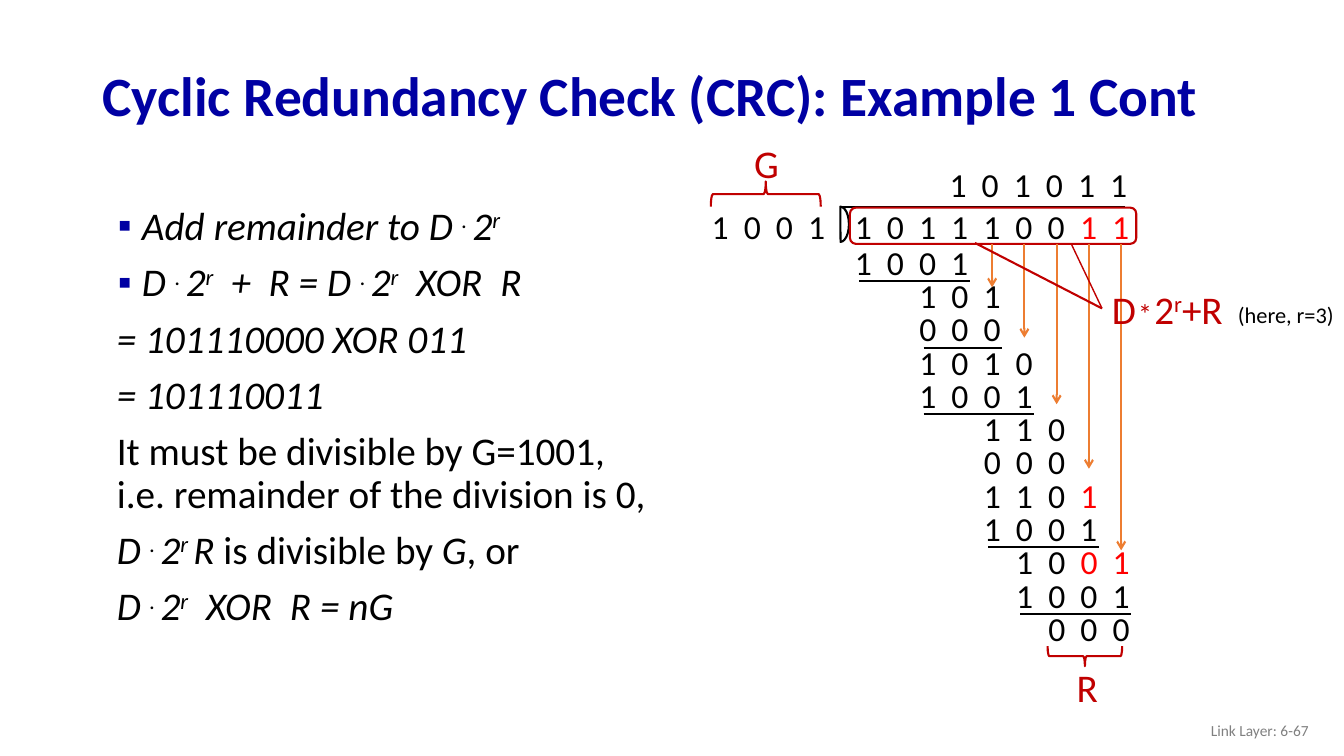
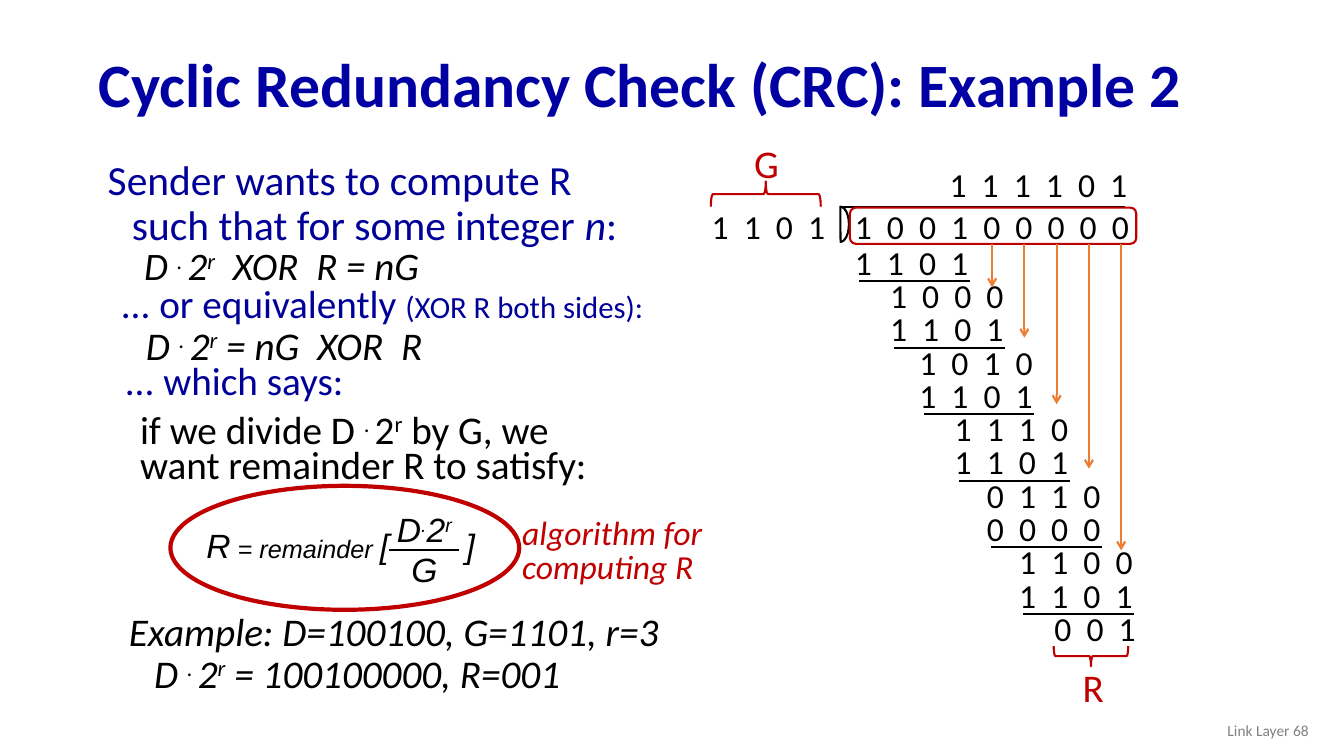
import pptx
import pptx.dml.color
import pptx.enum.shapes
import pptx.enum.text
import pptx.oxml
import pptx.oxml.ns
import pptx.util

SHAPE = pptx.enum.shapes.MSO_SHAPE
ALIGN = pptx.enum.text.PP_ALIGN
ANCHOR = pptx.enum.text.MSO_ANCHOR
NAMESPACE = pptx.oxml.ns.nsdecls("a")

# Style
EMU_PER_PX = 9144
BLACK, NAVY, BLUE = "000000", "0000A3", "000099"
CRIMSON, RED, ORANGE, GREY = "C00000", "FF0000", "ED7D31", "808080"
SPACE_WIDTH = 0.23

# Division grid
COLUMN_LEFT, COLUMN_STEP = 838, 32
ROW_TOP, ROW_STEP = 235, 33
DIGIT_SPACING = 2.7
CARRY_ENDS = (285, 335, 401, 465, 546)


def px(length):
    return pptx.util.Emu(length * EMU_PER_PX)


def rgb(code):
    return pptx.dml.color.RGBColor.from_string(code)


def xml(markup):
    """Build a drawing element from its tag and content."""
    return pptx.oxml.parse_xml(markup.replace(" ", f" {NAMESPACE} ", 1))


def write(paragraph, text, size=24, color=BLACK, font="Calibri", bold=False, italic=False,
          spacing=0):
    """Add text to a paragraph; parts between ^ marks are raised, ~ is a wide space."""
    def add(part, raised, tracking):
        run = paragraph.add_run()
        run.text = part
        run.font.size = pptx.util.Pt(size)
        run.font.name = font
        run.font.bold, run.font.italic = bold, italic
        run.font.color.rgb = rgb(color)
        if raised:
            run.font._element.set("baseline", "30000")
        if tracking:
            run.font._element.set("spc", str(round(tracking * 100)))

    for index, piece in enumerate(text.split("^")):
        for gap, part in enumerate(piece.split("~")):
            if gap:
                add(" ", False, size * SPACE_WIDTH)
            if part:
                add(part, index % 2, spacing)


def column_left(column):
    return round(COLUMN_LEFT + COLUMN_STEP * column)


class Deck:
    def __init__(self):
        self.file = pptx.Presentation()
        self.file.slide_width, self.file.slide_height = px(1333), px(750)
        self.slide = None

    def new_slide(self, title, title_at, title_size, footer):
        self.slide = self.file.slides.add_slide(self.file.slide_layouts[6])
        self.para(self.box(*title_at, 1150, 98, ANCHOR.MIDDLE), title,
                  line=0.9, size=title_size, color=NAVY, bold=True)
        self.para(self.box(1008, 705, 300, 40, ANCHOR.MIDDLE), footer,
                  align=ALIGN.RIGHT, size=11, color=GREY)

    # Text
    def box(self, left, top, width, height, anchor=ANCHOR.TOP):
        frame = self.slide.shapes.add_textbox(px(left), px(top), px(width), px(height)).text_frame
        frame.word_wrap = True
        frame.vertical_anchor = anchor
        return frame

    def para(self, frame, *pieces, align=None, line=None, before=None,
             margin=0, first=0, bullet=None, **style):
        """Add a paragraph; a piece is text, or text with its own format."""
        start = frame.paragraphs[0]
        paragraph = frame.add_paragraph() if start.runs else start
        paragraph.alignment = align
        if line:
            paragraph.line_spacing = line
        if before:
            paragraph.space_before = pptx.util.Pt(before)
        layout = paragraph._p.get_or_add_pPr()
        layout.set("marL", str(px(margin)))
        layout.set("indent", str(px(first)))
        if bullet:
            layout.append(xml(f'<a:buClr ><a:srgbClr val="{NAVY}"/></a:buClr>'))
            layout.append(xml('<a:buFont typeface="Arial"/>'))
            layout.append(xml(f'<a:buChar char="{bullet}"/>'))
        for piece in pieces:
            text, own = (piece, {}) if isinstance(piece, str) else piece
            write(paragraph, text, **{**style, **own})

    def label(self, at, *pieces, **style):
        self.para(self.box(*at), *pieces, **style)

    # Outlines and lines
    def outline(self, kind, at, color=CRIMSON, weight=1.5, rotation=0):
        shape = self.slide.shapes.add_shape(kind, *map(px, at))
        shape.shadow.inherit = False
        shape.fill.background()
        shape.line.color.rgb = rgb(color)
        shape.line.width = pptx.util.Pt(weight)
        shape.rotation = rotation
        return shape

    def line(self, start, end, color=BLACK, weight=1.5, arrow=False):
        connector = self.slide.shapes.add_connector(
            pptx.enum.shapes.MSO_CONNECTOR.STRAIGHT, *map(px, (*start, *end)))
        connector.line.color.rgb = rgb(color)
        connector.line.width = pptx.util.Pt(weight)
        properties = connector._element.spPr
        if arrow:
            properties.find(pptx.oxml.ns.qn("a:ln")).append(xml('<a:tailEnd type="arrow"/>'))
        properties.append(xml("<a:effectLst />"))

    # Long division
    def digits(self, left, top, number, red=0):
        """Write one digit per column, the last ones in red if asked."""
        text = " ".join(number)
        cut = len(text) - max(2 * red - 1, 0)
        width = COLUMN_STEP * len(number) + 20
        self.label((left, top, width, 50), text[:cut], (text[cut:], {"color": RED}),
                   spacing=DIGIT_SPACING)

    def long_division(self, generator, dividend, quotient, rows, underlined, red=0):
        # Generator, bracket and dividend
        self.label((738, 133, 45, 57), "G", size=28, color=CRIMSON)
        self.outline(SHAPE.RIGHT_BRACE, (747, 138, 25, 109), rotation=270)
        self.digits(696, 199, generator)
        self.line((835, 205), (1116, 205))
        bracket = self.outline(SHAPE.PIE, (816, 214, 35, 17), BLACK, rotation=270)
        bracket.adjustments[0], bracket.adjustments[1] = 0, 107.54
        self.digits(column_left(3) - 2, 158, quotient)
        self.digits(column_left(0), 199, dividend, red)
        self.outline(SHAPE.ROUNDED_RECTANGLE, (843, 206, 284, 36))

        # Working rows
        for row, (column, number, *red_digits) in enumerate(rows):
            left, top = column_left(column), ROW_TOP + ROW_STEP * row
            self.digits(left, top, number, *red_digits)
            if row in underlined:
                start, rule = left + 14, top + 44
                self.line((start, rule), (start + COLUMN_STEP * len(number) - 18, rule))

        # Digits brought down
        for index, end in enumerate(CARRY_ENDS):
            x = 984 + COLUMN_STEP * index
            self.line((x, 242), (x, end), ORANGE, arrow=True)

        # Remainder
        remainder = column_left(rows[-1][0])
        self.outline(SHAPE.RIGHT_BRACE, (remainder + 36, 614, 20, 74), rotation=90)
        self.label((remainder + 28, 653, 42, 57), "R", size=28, color=CRIMSON)


def example_1(deck):
    deck.new_slide("Cyclic Redundancy Check (CRC): Example 1 Cont", (92, 49), 39.6,
                   "Link Layer: 6-67")

    # Argument
    argument = deck.box(92, 200, 567, 476)
    body = {"size": 28, "line": 0.9, "before": 10}
    for step in ("Add remainder to D ^. ^2^r", "D ^. ^2^r^~+~R = D ^. ^2^r^~XOR~R"):
        deck.para(argument, step, margin=39, first=-24, bullet="▪", italic=True, **body)
    upright, slanted = {"italic": False}, {"italic": True}
    for pieces in (
        [("= 101110000 XOR 011", slanted)],
        [("= 101110011", slanted)],
        [("It must be divisible by G=1001, i.e. remainder of the division is 0,", upright)],
        [("D ^. ^2^r ^R ", slanted), ("is divisible by ", upright),
         ("G", slanted), (", or", upright)],
        [("D ^. ^2^r^~XOR~R = nG", slanted)],
    ):
        deck.para(argument, *pieces, margin=14, **body)

    # Division
    deck.long_division(
        "1001", "101110011", "101011",
        [(0, "1001"), (2, "101"), (2, "000"), (2, "1010"), (2, "1001"), (4, "110"),
         (4, "000"), (4, "1101", 1), (4, "1001"), (5, "1001", 2), (5, "1001"), (6, "000")],
        underlined=(0, 2, 4, 8, 10), red=2)

    # Callout for the dividend
    tip = (1093, 306)
    deck.line((967, 241), tip, CRIMSON)
    deck.line((1063, 243), tip, CRIMSON, weight=1)
    deck.label((1093, 278, 44, 57), "D", size=28, color=CRIMSON)
    deck.label((1119, 289, 40, 44), "*", size=20, color=CRIMSON)
    deck.label((1135, 278, 110, 57), "2^r^+R", size=28, color=CRIMSON)
    deck.label((1218, 294, 120, 40), "(here, r=3)", size=16)


def example_2(deck):
    deck.new_slide("Cyclic Redundancy Check (CRC): Example 2", (88, 38), 44, "Link Layer 68")
    lead = {"margin": 39, "first": -13, "line": 0.75, "before": 10, "size": 28}
    formula = {"margin": 76, "first": -25, "line": 0.75, "before": 5, "size": 28,
               "italic": True}

    # Goal
    goal = deck.box(82, 154, 559, 146)
    deck.para(goal, "Sender wants to compute R such that for some integer ",
              ("n", {"italic": True}), ":", margin=39, first=-24, line=0.9, before=10,
              size=29.6, color=BLUE)
    deck.para(goal, "D ^. ^2^r^~XOR~R = nG", **{**formula, "line": 0.65, "size": 27.8})

    # Equivalent form
    equivalent = deck.box(84, 283, 574, 96)
    deck.para(equivalent, "... or equivalently ", ("(XOR R both sides):", {"size": 22}),
              color=BLUE, **lead)
    deck.para(equivalent, "D ^. ^2^r^ = nG~XOR~R", **formula)

    # Meaning
    meaning = deck.box(79, 359, 545, 137)
    deck.para(meaning, "... which says:", color=BLUE, **{**lead, "first": -4})
    deck.para(meaning, "if we divide D ^. ^2^r^ by G, we want remainder R to satisfy:",
              **{**lead, "margin": 50, "first": 0})

    # Remainder formula
    math_style = {"font": "Arial", "italic": True}
    fraction = deck.box(348, 500, 146, 90)
    for part in ("D^.^2^r", "G"):
        deck.para(fraction, part, align=ALIGN.CENTER, **math_style)
    deck.line((386, 546), (455, 546))
    deck.label((195, 516, 220, 52), "R", (" = remainder ", {"size": 18}), "[", **math_style)
    deck.label((452, 516, 40, 52), "]", **math_style)
    deck.outline(SHAPE.OVAL, (169, 482, 346, 123), weight=3)
    caption = deck.box(508, 509, 208, 79)
    for words in ("algorithm for", "computing R"):
        deck.para(caption, words, line=0.85, color=CRIMSON, italic=True)

    # Worked values
    values = deck.box(92, 608, 574, 96)
    deck.para(values, "Example: D=100100, G=1101, r=3", italic=True, **lead)
    deck.para(values, "D ^. ^2^r^ = 100100000, R=001", **formula)

    # Division
    deck.long_division(
        "1101", "100100000", "111101",
        [(0, "1101"), (1.1, "1000"), (1.1, "1101"), (2, "1010"), (2, "1101"), (3.1, "1110"),
         (3.1, "1101"), (4.1, "0110"), (4.1, "0000"), (5.1, "1100"), (5.1, "1101"),
         (6.2, "001")],
        underlined=(0, 2, 4, 6, 8, 10))


def main():
    deck = Deck()
    example_1(deck)
    example_2(deck)
    deck.file.save("out.pptx")


if __name__ == "__main__":
    main()
